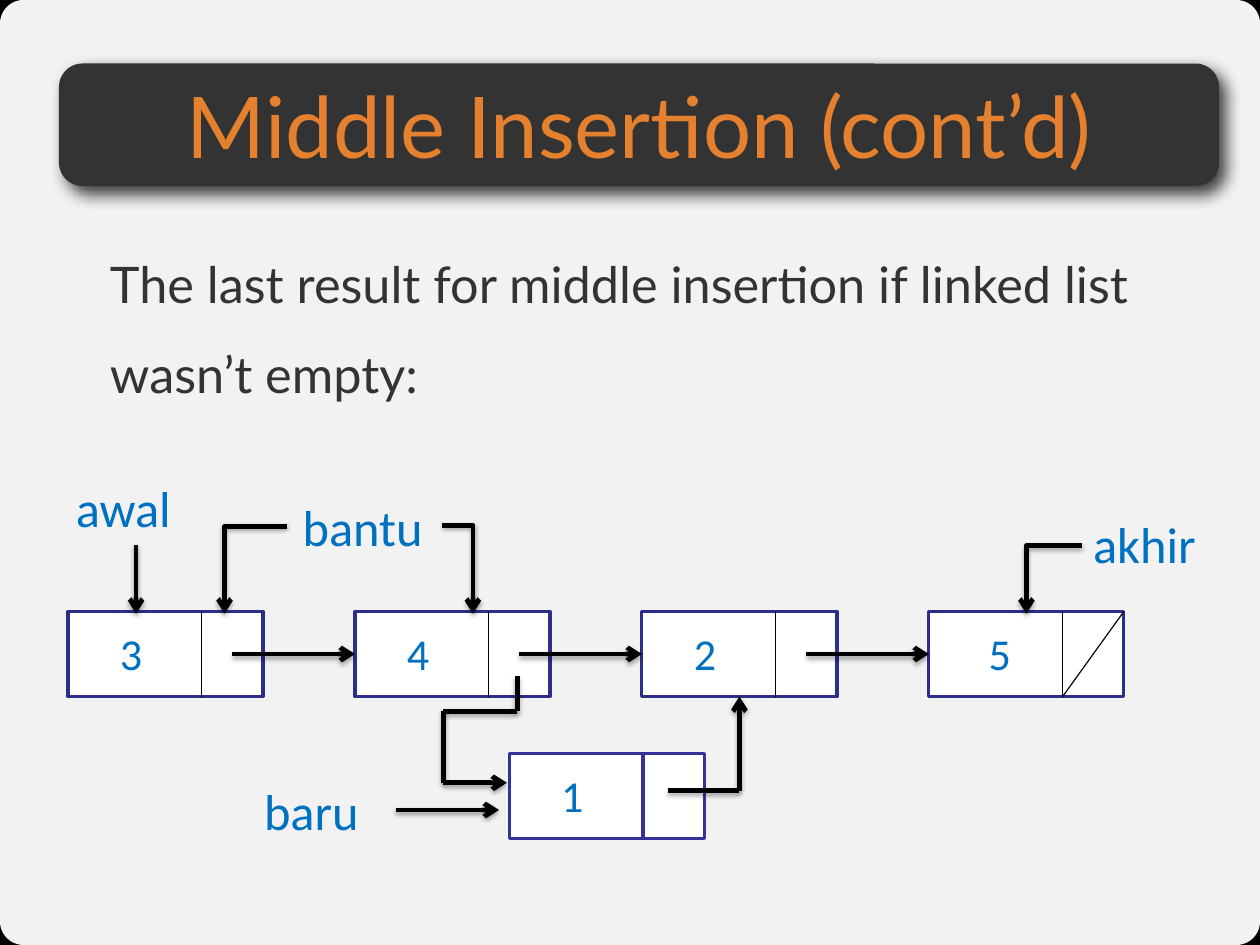
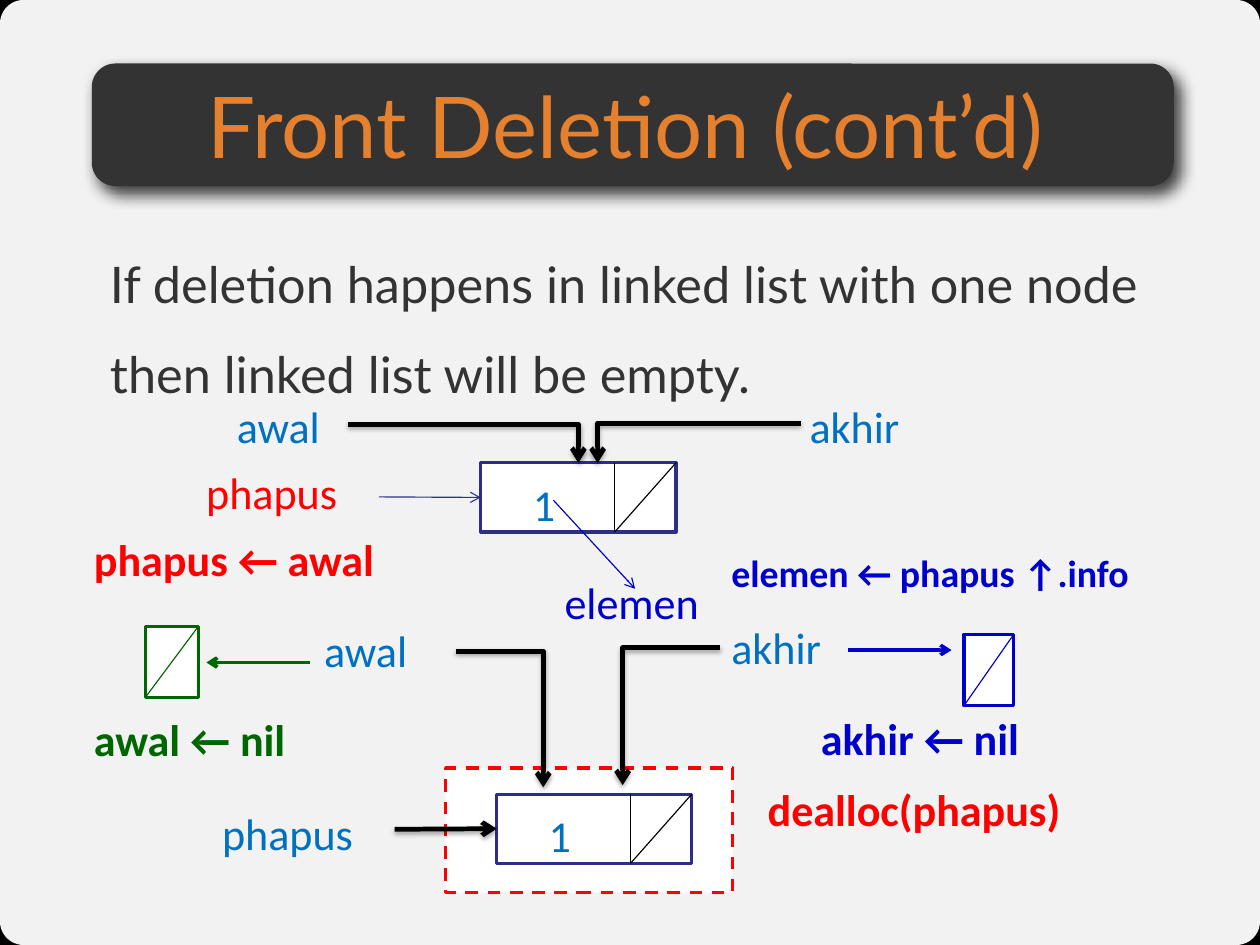
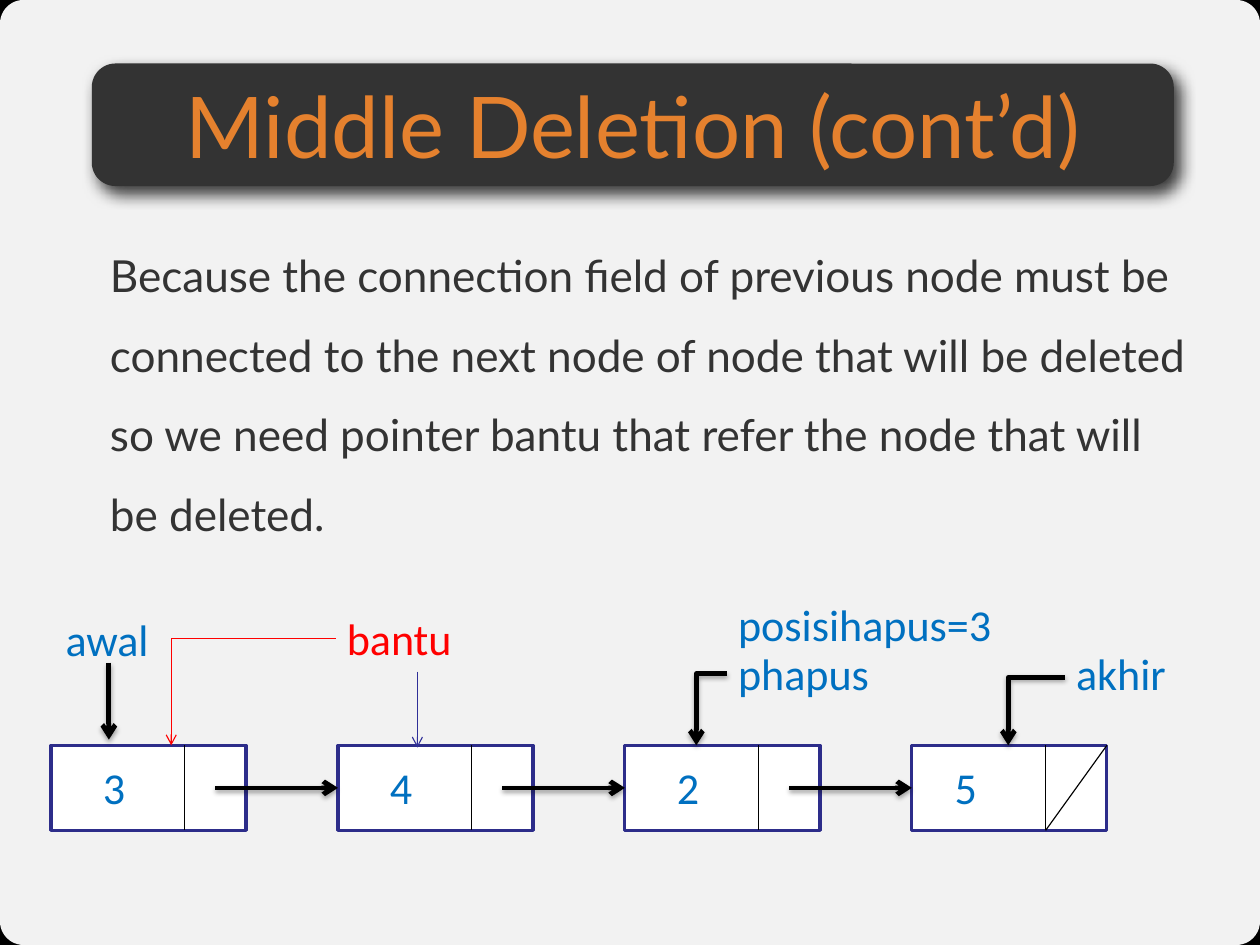
from lxml import etree
from pptx import Presentation
from pptx.dml.color import RGBColor
from pptx.enum.dml import MSO_LINE as Dash
from pptx.enum.shapes import MSO_CONNECTOR as Link, MSO_SHAPE as Shape
from pptx.enum.text import MSO_ANCHOR as Anchor, MSO_AUTO_SIZE as Fit, PP_ALIGN as Align
from pptx.oxml.ns import qn
from pptx.util import Inches, Pt

BLACK = RGBColor(0x00, 0x00, 0x00)
WHITE = RGBColor(0xFF, 0xFF, 0xFF)
CHARCOAL = RGBColor(0x33, 0x33, 0x33)
ORANGE = RGBColor(0xE5, 0x81, 0x2E)
SKY = RGBColor(0x00, 0x70, 0xC0)
NAVY = RGBColor(0x2D, 0x2D, 0x8A)
INDIGO = RGBColor(0x33, 0x33, 0x99)
VIOLET = RGBColor(0x2F, 0x2F, 0x98)
BLUE = RGBColor(0x00, 0x00, 0xCC)
RED = RGBColor(0xFF, 0x00, 0x00)
GREEN = RGBColor(0x00, 0x66, 0x00)

WIDTH, HEIGHT = 11.11, 8.33
NODE_WIDTH, NODE_STEP = 1.72, 2.53
DIVIDER = 1.18          # from a node's left side to its divider
FIELD = 1.45            # from a node's left side to the start of its link
LABEL_HEIGHT = {24: 0.5, 28: 0.57, 32: 0.64}

# Shadows: opacity %, blur pt, distance pt, direction in degrees
BAND_SHADOW = (75, 10, 6, 51)
ARROW_SHADOW = (35, 3.1, 1.8, 90)


def inches(*values):
    return [Inches(value) for value in values]


def assign(target, values):
    for name, value in values.items():
        setattr(target, name, value)


class Board:
    """Style of the deck and the page being drawn."""

    def __init__(self):
        self.deck = Presentation()
        self.deck.slide_width, self.deck.slide_height = inches(WIDTH, HEIGHT)
        self.page = None

    # Page frame: background, panel, title band and body text
    def start(self, title, body, band=(0.81, 9.54), heading=(0.81, 9.54), body_size=32):
        self.page = self.deck.slides.add_slide(self.deck.slide_layouts[6])
        background = self.page.background.fill
        background.solid()
        background.fore_color.rgb = BLACK
        panel = self.box((0, 0, WIDTH, HEIGHT), WHITE, None, Shape.ROUNDED_RECTANGLE, 0.025)
        color = panel.element.spPr.find(qn("a:solidFill"))[0]
        etree.SubElement(color, qn("a:alpha"), val="95000")
        plain = dict.fromkeys(("margin_left", "margin_top", "margin_right", "margin_bottom"), 0)
        self.text(body, (0.97, 1.96, 9.56, 5.59), body_size, CHARCOAL, "Lato",
                  frame=plain, paragraph={"line_spacing": 1.5})
        strip = self.box((band[0], 0.56, band[1], 1.08), CHARCOAL, None,
                         Shape.ROUNDED_RECTANGLE, 0.192)
        self.shadow(strip, BAND_SHADOW)
        self.text(title, (heading[0], 0.6, heading[1], 1), 54, ORANGE, "Lato",
                  frame=plain | {"vertical_anchor": Anchor.MIDDLE},
                  paragraph={"alignment": Align.CENTER})

    def shadow(self, shape, values=None):
        """Replace the theme's shadow by the given one, or by none."""
        properties = shape.element.spPr
        for old in properties.findall(qn("a:effectLst")):
            properties.remove(old)
        effects = etree.SubElement(properties, qn("a:effectLst"))
        if values:
            opacity, blur, distance, direction = values
            outer = etree.SubElement(
                effects, qn("a:outerShdw"), blurRad=str(Pt(blur)), dist=str(Pt(distance)),
                dir=str(direction * 60000), algn="ctr", rotWithShape="0")
            color = etree.SubElement(outer, qn("a:srgbClr"), val=str(BLACK))
            etree.SubElement(color, qn("a:alpha"), val=str(opacity * 1000))

    def box(self, place, fill, line, kind=Shape.RECTANGLE, corner=None, dash=None):
        box = self.page.shapes.add_shape(kind, *inches(*place))
        box.shadow.inherit = False
        box.fill.solid()
        box.fill.fore_color.rgb = fill
        if corner is not None:
            box.adjustments[0] = corner
        if line is None:
            box.line.fill.background()
        else:
            box.line.color.rgb = line
            assign(box.line, {"width": Pt(2), "dash_style": dash})
        return box

    def text(self, words, place, size, color, font="Calibri", bold=False,
             frame=None, paragraph=None):
        holder = self.page.shapes.add_textbox(*inches(*place)).text_frame
        assign(holder, {"word_wrap": True} | (frame or {}))
        para = holder.paragraphs[0]
        assign(para, paragraph or {})
        span = para.add_run()
        span.text = words
        assign(span.font, {"name": font, "size": Pt(size), "bold": bold})
        span.font.color.rgb = color

    def label(self, words, left, top, width=1.26, color=SKY, size=28, bold=False):
        self.text(words, (left, top, width, LABEL_HEIGHT[size]), size, color, bold=bold,
                  frame={"auto_size": Fit.SHAPE_TO_FIT_TEXT})

    # Straight lines and arrows
    def line(self, start, end, color=BLACK, width=0.75, arrow=False, shadow=None,
             join=None, kind=Link.STRAIGHT):
        link = self.page.shapes.add_connector(kind, *inches(*start, *end))
        link.line.color.rgb = color
        link.line.width = Pt(width)
        if arrow:
            etree.SubElement(link.element.spPr.find(qn("a:ln")), qn("a:tailEnd"), type="arrow")
        self.shadow(link, shadow)
        if join:
            link.end_connect(*join)
        return link

    def route(self, *points, join=None):
        """Heavy black line through the points, with an arrowhead at the last."""
        final = len(points) - 2
        for index, (start, end) in enumerate(zip(points, points[1:])):
            last = index == final
            self.line(start, end, width=3, arrow=last, shadow=ARROW_SHADOW,
                      join=join if last else None)

    def bend(self, start, end, color=BLACK, width=3, shadow=ARROW_SHADOW):
        """Arrow that runs sideways, then down."""
        link = self.line(start, end, color, width, True, shadow, kind=Link.ELBOW)
        properties = link.element.spPr
        properties.find(qn("a:prstGeom")).set("prst", "bentConnector2")
        if end[0] < start[0]:
            frame = properties.find(qn("a:xfrm"))
            frame.attrib.pop("flipH", None)
            frame.set("rot", "10800000")
            frame.set("flipV", "1")

    # List nodes
    def node(self, value, left, top, height=0.75, last=False, shift=0.36,
             outline=NAVY, divider=BLACK, divider_width=0.75):
        box = self.box((left, top, NODE_WIDTH, height), WHITE, outline)
        middle, bottom = left + DIVIDER, top + height
        self.line((middle, top), (middle, bottom), divider, divider_width)
        if last:
            self.line((left + NODE_WIDTH, top), (middle, bottom))
        self.label(value, left + shift, top + 0.08, 0.63)
        return box

    def chain(self, values, left, top, last_shift):
        """Row of linked nodes; the last one ends the list."""
        nodes = []
        for index, value in enumerate(values):
            last = index == len(values) - 1
            x, y = left + index * NODE_STEP, top + 0.75 / 2
            box = self.node(value, x, top, last=last, shift=last_shift if last else 0.36)
            if nodes:
                self.route((x - NODE_STEP + FIELD, y), (x, y), join=(box, 1))
            nodes.append(box)
        return nodes

    def nil(self, left, top, width, color):
        self.box((left, top, width, 0.63), WHITE, color)
        self.line((left + width, top), (left, top + 0.63), color)


def middle_insertion(board):
    board.start("Middle Insertion (cont’d)",
                "The last result for middle insertion if linked list wasn’t empty:",
                band=(0.52, 10.23), heading=(0.52, 10.23))
    # Inserted node
    board.node("1", 4.49, 6.64, outline=INDIGO, divider=INDIGO, divider_width=2)
    nodes = board.chain("3425", 0.6, 5.39, last_shift=0.43)
    # Pointer names
    for words, left, top, width in (("bantu", 2.57, 4.32, 1.44), ("baru", 2.23, 6.83, 1.26),
                                    ("akhir", 9.54, 4.47, 1.26), ("awal", 0.57, 4.16, 1.26)):
        board.label(words, left, top, width, size=32)
    # Pointer arrows
    board.route((3.49, 7.14), (4.4, 7.14))
    board.route((1.2, 4.8), (1.2, 5.41))
    board.bend((2.53, 4.64), (1.98, 5.41))
    board.bend((3.9, 4.63), (4.17, 5.41))
    board.bend((9.54, 4.81), (9.05, 5.41))
    # Links through the inserted node
    board.route((4.56, 5.96), (4.56, 6.27), (3.91, 6.27), (3.91, 6.9), (4.47, 6.9))
    board.route((5.89, 6.97), (6.52, 6.97), (6.52, 6.14), join=(nodes[2], 2))


def front_deletion(board):
    board.start("Front Deletion (cont’d)",
                "If deletion happens in linked list with one node then linked list will be empty.",
                heading=(0.68, 9.67))
    # List before the deletion
    before = board.node("1", 4.24, 4.08, 0.61, last=True)
    board.bend((3.07, 3.74), (5.1, 4.08))
    board.bend((7.06, 3.73), (5.27, 4.08))
    board.line((3.34, 4.38), (4.24, 4.38), VIOLET, arrow=True, join=(before, 1))
    board.line((4.88, 4.41), (5.6, 5.19), BLUE, arrow=True)
    # Node being released
    board.box((3.93, 6.77, 2.53, 1.1), WHITE, RED, dash=Dash.DASH)
    released = board.node("1", 4.38, 7, 0.61, last=True)
    board.route((3.48, 7.31), (4.38, 7.31), join=(released, 1))
    board.bend((6.35, 5.71), (5.49, 6.92))
    board.bend((4.02, 5.74), (4.79, 6.94))
    # Empty pointers
    board.nil(1.28, 5.52, 0.47, GREEN)
    board.nil(8.5, 5.59, 0.44, BLUE)
    board.line((2.73, 5.84), (1.82, 5.84), GREEN, 2.25, arrow=True)
    board.line((7.48, 5.73), (8.39, 5.73), BLUE, 2.25, arrow=True)
    # Pointer names
    for words, left, top, width, color in (
            ("awal", 1.99, 3.47, 1.26, SKY), ("akhir", 7.04, 3.47, 1.26, SKY),
            ("phapus", 1.72, 4.05, 1.62, RED), ("elemen", 4.88, 5.02, 2.08, BLUE),
            ("awal", 2.76, 5.45, 1.26, SKY), ("akhir", 6.35, 5.42, 1.26, SKY),
            ("phapus", 1.86, 7.06, 1.62, SKY)):
        board.label(words, left, top, width, color)
    # Statements
    for words, left, top, width, color, size in (
            ("phapus ← awal", 0.73, 4.64, 3.28, RED, 28),
            ("elemen ← phapus ↑.info", 6.35, 4.8, 4.76, BLUE, 24),
            ("awal ← nil", 0.73, 6.23, 2.97, GREEN, 28),
            ("akhir ← nil", 7.14, 6.22, 2.97, BLUE, 28),
            ("dealloc(phapus)", 6.67, 6.85, 3.98, RED, 28)):
        board.label(words, left, top, width, color, size, bold=True)


def middle_deletion(board):
    board.start("Middle Deletion (cont’d)",
                "Because the connection field of previous node must be connected to the next "
                "node of node that will be deleted so we need pointer bantu that refer the "
                "node that will be deleted.", body_size=28)
    board.chain("3425", 0.45, 6.57, last_shift=0.28)
    # Pointer names
    for words, left, top, width, color in (
            ("awal", 0.48, 5.35, 1.03, SKY), ("bantu", 2.96, 5.34, 1.44, RED),
            ("posisihapus=3", 6.41, 5.22, 3.25, SKY), ("phapus", 6.41, 5.65, 1.72, SKY),
            ("akhir", 9.39, 5.65, 1.26, SKY)):
        board.label(words, left, top, width, color)
    # Pointer arrows
    board.route((0.96, 5.84), (0.96, 6.52))
    board.bend((2.96, 5.63), (1.51, 6.57), RED, 0.75, None)
    board.line((3.68, 5.92), (3.68, 6.59), VIOLET, arrow=True)
    board.bend((6.41, 5.94), (6.14, 6.57))
    board.bend((9.39, 5.97), (8.89, 6.57))


def main():
    board = Board()
    for draw in (middle_insertion, front_deletion, middle_deletion):
        draw(board)
    board.deck.save("out.pptx")


if __name__ == "__main__":
    main()
